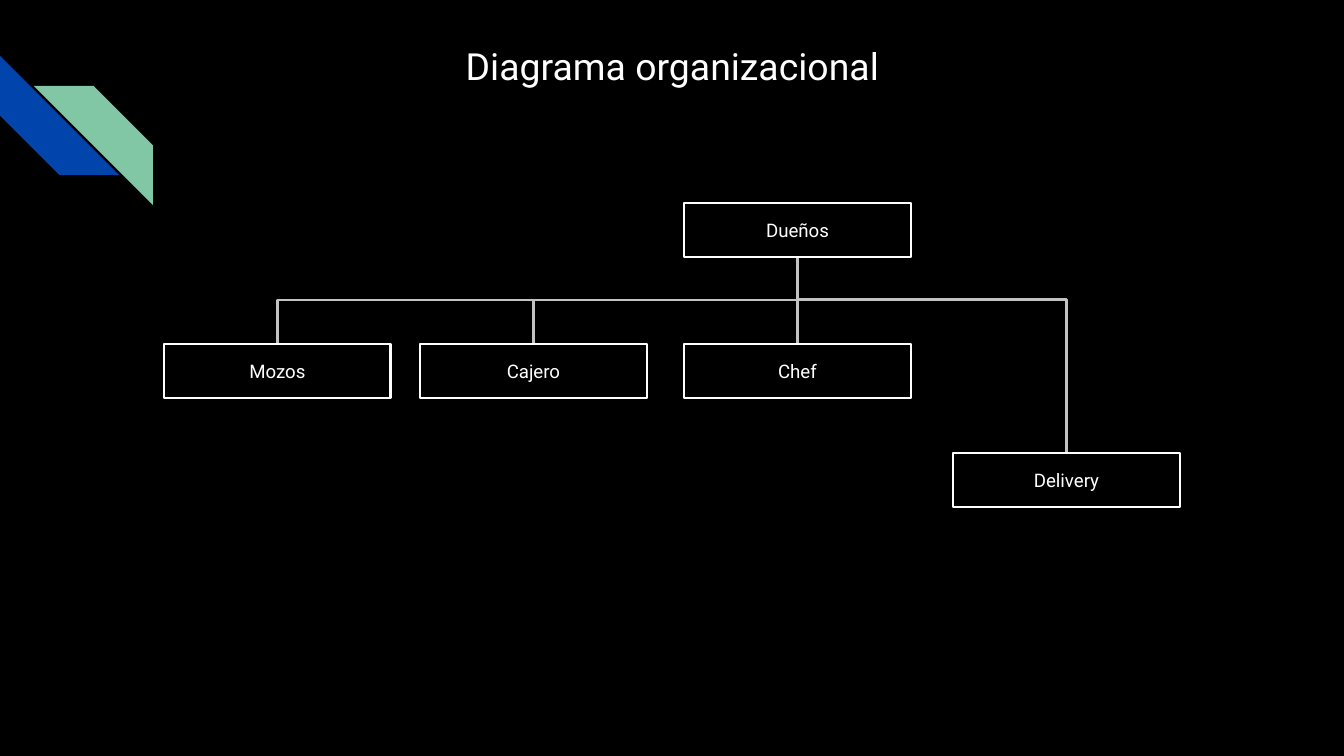
"""Builds the organisation chart slide."""
from lxml import etree
from pptx import Presentation
from pptx import util as u
from pptx.dml.color import RGBColor
from pptx.enum import shapes, text
from pptx.oxml import ns

PX = 914400 / 134.4
BLACK = RGBColor(0x00, 0x00, 0x00)
WHITE = RGBColor(0xFF, 0xFF, 0xFF)
GREY = RGBColor(0xC2, 0xC2, 0xC2)
BLUE = RGBColor(0x01, 0x45, 0xAC)
GREEN = RGBColor(0x82, 0xC7, 0xA5)

SLIDE_SIZE = (1344, 756)
TITLE = ("Diagrama organizacional", (46, 23, 1253, 85), 20)
STRIPES = [
    ((0, 56, 119, 119), BLUE, {"rot": "16200000"}),
    ((34, 86, 119, 119), GREEN, {"flipH": "1"}),
]
BOX_WIDTH, BOX_HEIGHT = 227, 54
OWNER = ("Dueños", 684, 203)
STAFF = [
    ("Chef", 684, 344),
    ("Cajero", 420, 344),
    ("Delivery", 953, 453),
    ("Mozos", 164, 344),
]
BUS_DROP = 43
FRAME_FORMAT = {
    "word_wrap": True,
    "vertical_anchor": text.MSO_ANCHOR.MIDDLE,
    "margin_left": u.Inches(0.1),
    "margin_right": u.Inches(0.1),
    "margin_top": u.Inches(0.1),
    "margin_bottom": u.Inches(0.1),
}


def emu(*lengths):
    return [round(length * PX) for length in lengths]


def set_format(target, values):
    for name, value in values.items():
        setattr(target, name, value)


def set_transform(shape, values):
    transform = shape.element.spPr.find(ns.qn("a:xfrm"))
    for name, value in values.items():
        transform.set(name, value)


def set_line(shape, color):
    shape.line.color.rgb = color
    shape.line.width = u.Pt(1.5)


def write(shape, words, size):
    frame = shape.text_frame
    set_format(frame, FRAME_FORMAT)
    paragraph = frame.paragraphs[0]
    paragraph.alignment = text.PP_ALIGN.CENTER
    run = paragraph.add_run()
    run.text = words
    set_format(run.font, {"name": "Roboto", "size": u.Pt(size)})
    run.font.color.rgb = WHITE


def add_stripe(slide, bounds, color, transform):
    shape = slide.shapes.add_shape(shapes.MSO_SHAPE.DIAGONAL_STRIPE, *emu(*bounds))
    shape.shadow.inherit = False
    shape.fill.solid()
    shape.fill.fore_color.rgb = color
    shape.line.fill.background()
    set_transform(shape, transform)


def add_box(slide, name, left, top):
    shape = slide.shapes.add_shape(
        shapes.MSO_SHAPE.RECTANGLE, *emu(left, top, BOX_WIDTH, BOX_HEIGHT))
    shape.shadow.inherit = False
    shape.fill.background()
    set_line(shape, WHITE)
    write(shape, name, 10)


def add_branch(slide, parent, child):
    _, parent_left, parent_top = parent
    _, child_left, child_top = child
    start = parent_top + BOX_HEIGHT
    drop, reach = child_top - start, abs(child_left - parent_left)
    middle_x = (parent_left + child_left + BOX_WIDTH) / 2
    middle_y = (start + child_top) / 2
    left, top = middle_x - drop / 2, middle_y - reach / 2
    connector = slide.shapes.add_connector(
        shapes.MSO_CONNECTOR.ELBOW, *emu(left, top, left + drop, top + reach))
    to_left = child_left < parent_left
    set_transform(connector, {"rot": "5400000"} if to_left
                  else {"rot": "16200000", "flipH": "1"})
    properties = connector.element.spPr
    guides = properties.find(ns.qn("a:prstGeom")).find(ns.qn("a:avLst"))
    etree.SubElement(guides, ns.qn("a:gd"), name="adj1",
                     fmla=f"val {round(BUS_DROP / drop * 100000)}")
    set_line(connector, GREY)
    etree.SubElement(properties, ns.qn("a:effectLst"))


def main():
    presentation = Presentation()
    presentation.slide_width, presentation.slide_height = emu(*SLIDE_SIZE)
    slide = presentation.slides.add_slide(presentation.slide_layouts[6])
    slide.background.fill.solid()
    slide.background.fill.fore_color.rgb = BLACK

    for stripe in STRIPES:
        add_stripe(slide, *stripe)
    words, bounds, size = TITLE
    write(slide.shapes.add_textbox(*emu(*bounds)), words, size)
    for member in STAFF:
        add_branch(slide, OWNER, member)
    for member in [OWNER, *STAFF]:
        add_box(slide, *member)

    presentation.save("out.pptx")


if __name__ == "__main__":
    main()
